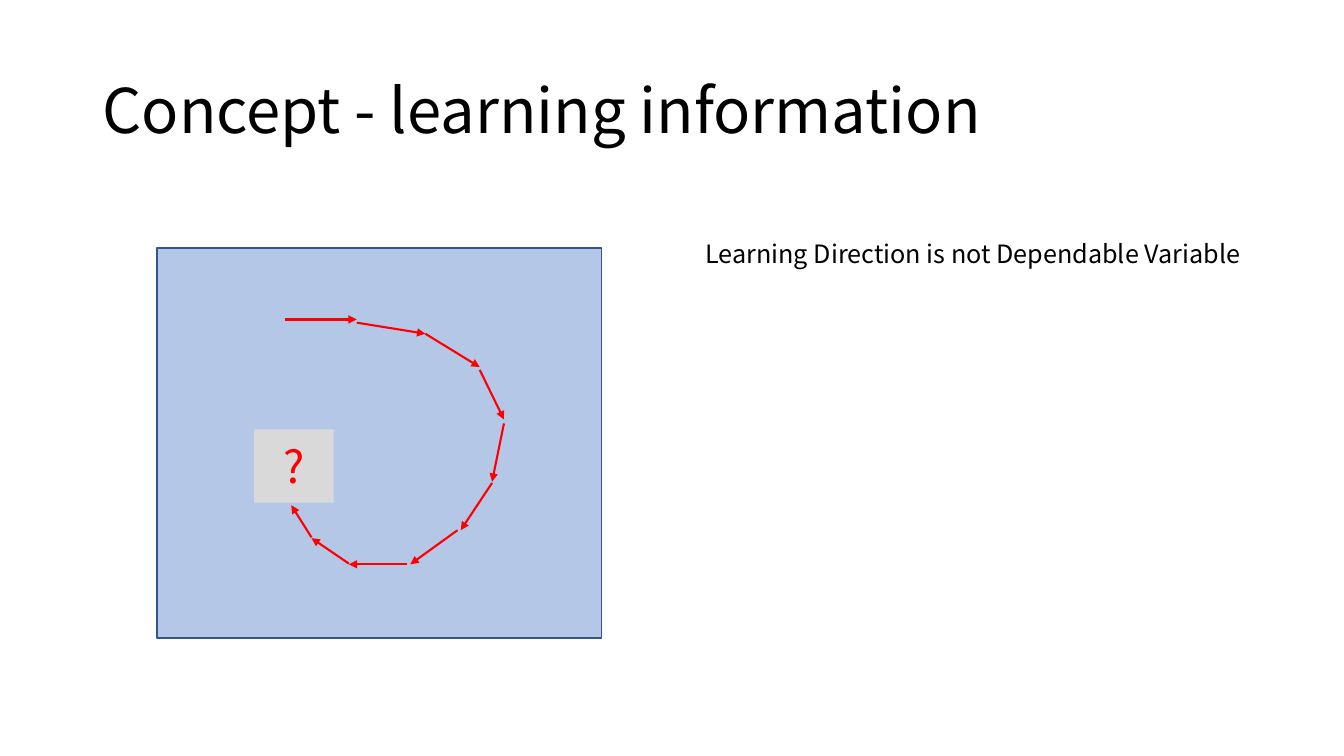
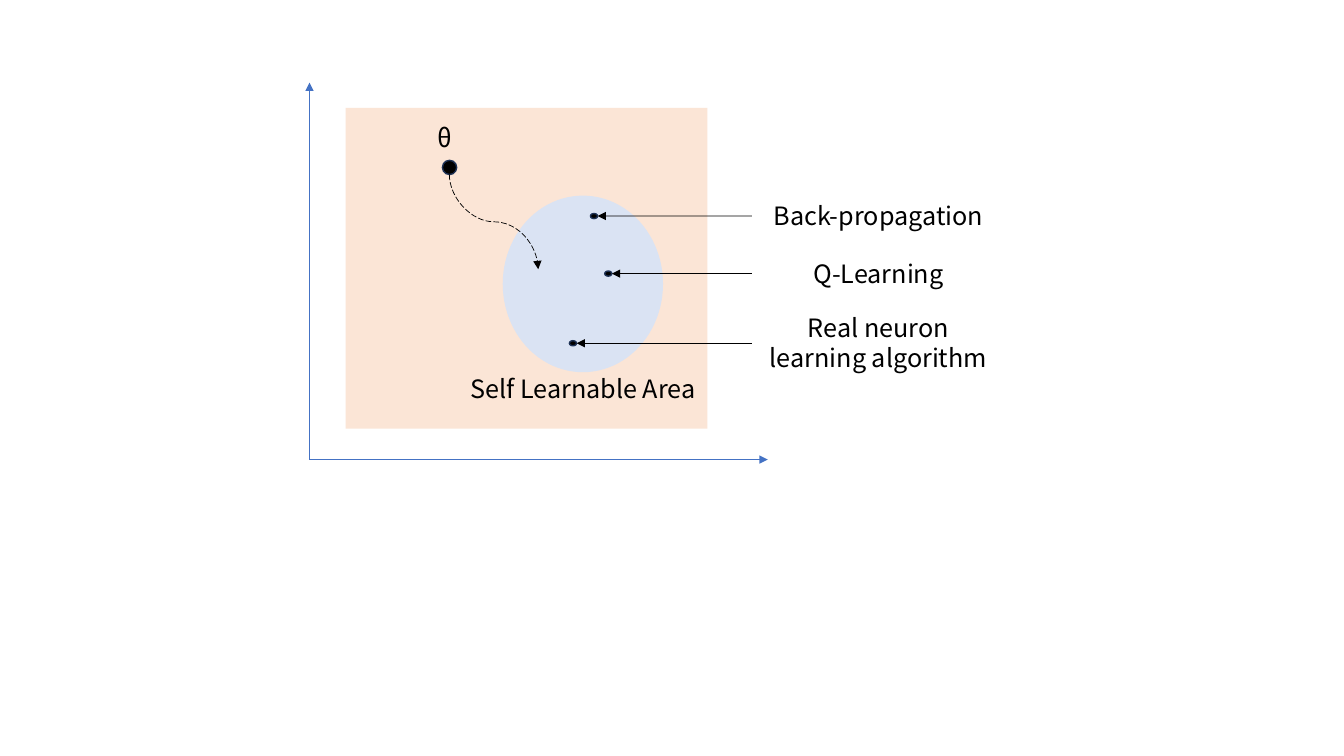
from dataclasses import dataclass

from lxml import etree
from pptx import Presentation
from pptx import util as u
from pptx.dml.color import RGBColor
from pptx.enum import dml, shapes, text
from pptx.oxml.ns import qn


@dataclass(frozen=True)
class Theme:
    font: str = "Noto Sans CJK KR"
    title_size: int = 44
    mark_size: int = 32
    body_size: int = 18
    ink: str = "000000"
    red: str = "FF0000"
    axis: str = "4472C4"
    field: str = "B4C7E7"
    field_edge: str = "325491"
    unknown: str = "D9D9D9"
    space: str = "FBE5D6"
    learnable: str = "DAE3F3"
    dot_edge: str = "1E3256"
    thin: float = 0.5
    outline: float = 1
    thick: float = 1.5


class Deck:
    def __init__(self, theme):
        self.theme = theme
        self.presentation = Presentation()
        self.presentation.slide_width = u.Cm(33.87)
        self.presentation.slide_height = u.Cm(19.05)
        self.slide = None

    def add_slide(self, title=None):
        layout = self.presentation.slide_layouts[5 if title else 6]
        self.slide = self.presentation.slides.add_slide(layout)
        if title:
            shape = self.slide.shapes.title
            shape.left, shape.top = u.Cm(2.33), u.Cm(1.01)
            shape.width, shape.height = u.Cm(29.21), u.Cm(3.68)
            self.set_text(shape, title, self.theme.title_size, self.theme.ink,
                          text.PP_ALIGN.LEFT)
            shape.text_frame.vertical_anchor = text.MSO_ANCHOR.MIDDLE
            shape.text_frame.paragraphs[0].line_spacing = 0.9

    def set_text(self, shape, content, size, color, align):
        frame = shape.text_frame
        frame.text = content
        frame.word_wrap = True
        for paragraph in frame.paragraphs:
            paragraph.alignment = align
            paragraph.font.name = self.theme.font
            paragraph.font.size = u.Pt(size)
            paragraph.font.color.rgb = RGBColor.from_string(color)

    def label(self, content, left, top, width, height=1.03, align=text.PP_ALIGN.CENTER):
        box = self.slide.shapes.add_textbox(u.Cm(left), u.Cm(top), u.Cm(width), u.Cm(height))
        self.set_text(box, content, self.theme.body_size, self.theme.ink, align)
        box.text_frame.auto_size = text.MSO_AUTO_SIZE.SHAPE_TO_FIT_TEXT
        return box

    def block(self, kind, left, top, width, height, fill, edge=None):
        shape = self.slide.shapes.add_shape(
            kind, u.Cm(left), u.Cm(top), u.Cm(width), u.Cm(height))
        shape.shadow.inherit = False
        shape.fill.solid()
        shape.fill.fore_color.rgb = RGBColor.from_string(fill)
        if edge:
            shape.line.color.rgb = RGBColor.from_string(edge)
            shape.line.width = u.Pt(self.theme.outline)
        else:
            shape.line.fill.background()
        return shape

    def rectangle(self, *box, **colors):
        return self.block(shapes.MSO_SHAPE.RECTANGLE, *box, **colors)

    def ellipse(self, *box, **colors):
        return self.block(shapes.MSO_SHAPE.OVAL, *box, **colors)

    def dot(self, left, top, width, height):
        return self.ellipse(left, top, width, height,
                            fill=self.theme.ink, edge=self.theme.dot_edge)

    def arrow(self, start, end, color, width, kind=shapes.MSO_CONNECTOR.STRAIGHT):
        points = [u.Cm(value) for value in (*start, *end)]
        connector = self.slide.shapes.add_connector(kind, *points)
        connector.line.color.rgb = RGBColor.from_string(color)
        connector.line.width = u.Pt(width)
        properties = connector._element.spPr
        etree.SubElement(properties.find(qn("a:ln")), qn("a:tailEnd"), type="triangle")
        etree.SubElement(properties, qn("a:effectLst"))
        return connector

    def dashed_curve(self, start, end, rotation):
        curve = self.arrow(start, end, self.theme.ink, self.theme.thin,
                           shapes.MSO_CONNECTOR.CURVE)
        curve.line.dash_style = dml.MSO_LINE.LONG_DASH
        curve._element.spPr.find(qn("a:xfrm")).set("rot", str(rotation * 60000))


def build_concept(deck):
    theme = deck.theme
    deck.add_slide("Concept - learning information")
    deck.rectangle(3.96, 6.25, 11.2, 9.83, fill=theme.field, edge=theme.field_edge)
    steps = [
        ((7.19, 8.05), (8.99, 8.05)),
        ((8.99, 8.13), (10.72, 8.41)),
        ((10.72, 8.41), (12.09, 9.25)),
        ((12.09, 9.32), (12.7, 10.57)),
        ((12.7, 10.67), (12.4, 12.14)),
        ((12.4, 12.17), (11.61, 13.36)),
        ((11.53, 13.36), (10.34, 14.22)),
        ((10.26, 14.22), (8.79, 14.22)),
        ((8.79, 14.2), (7.85, 13.56)),
        ((7.85, 13.54), (7.34, 12.73)),
    ]
    for start, end in steps:
        deck.arrow(start, end, theme.red, theme.thick)
    deck.label("Learning Direction is not Dependable Variable", 17.53, 5.89, 14.2,
               align=text.PP_ALIGN.LEFT)
    unknown = deck.rectangle(6.4, 10.82, 2.01, 1.85, fill=theme.unknown)
    deck.set_text(unknown, "?", theme.mark_size, theme.red, text.PP_ALIGN.CENTER)
    unknown.text_frame.vertical_anchor = text.MSO_ANCHOR.MIDDLE


def build_learnable_area(deck):
    theme = deck.theme
    deck.add_slide()
    deck.rectangle(8.71, 2.72, 9.12, 8.08, fill=theme.space)
    origin = (7.8, 11.58)
    for axis_end in ((19.35, 11.58), (7.8, 2.08)):
        deck.arrow(origin, axis_end, theme.axis, theme.thin)
    deck.label("θ", 10.77, 2.95, 0.76, align=text.PP_ALIGN.LEFT)
    deck.ellipse(12.67, 4.93, 4.04, 4.45, fill=theme.learnable)
    deck.label("Self Learnable Area", 11.56, 9.27, 6.27)

    dot_width, dot_height, label_left = 0.18, 0.13, 18.95
    methods = [
        ("Back-propagation", 4.93, 1.03, 15.06),
        ("Q-Learning", 6.38, 1.03, 15.42),
        ("Real neuron\nlearning algorithm", 7.75, 1.8, 14.53),
    ]
    for name, top, height, dot_right in methods:
        middle = top + height / 2
        deck.dot(dot_right - dot_width, middle - dot_height / 2, dot_width, dot_height)
        label = deck.label(name, label_left, top, 6.38, height)
        pointer = deck.arrow((label_left, middle), (dot_right, middle), theme.ink, theme.thin)
        pointer.begin_connect(label, 1)

    deck.dot(11.15, 4.04, 0.36, 0.36)
    deck.dashed_curve((13.64, 4.47), (11.25, 6.71), rotation=270)


def main():
    deck = Deck(Theme())
    build_concept(deck)
    build_learnable_area(deck)
    deck.presentation.save("out.pptx")


if __name__ == "__main__":
    main()
